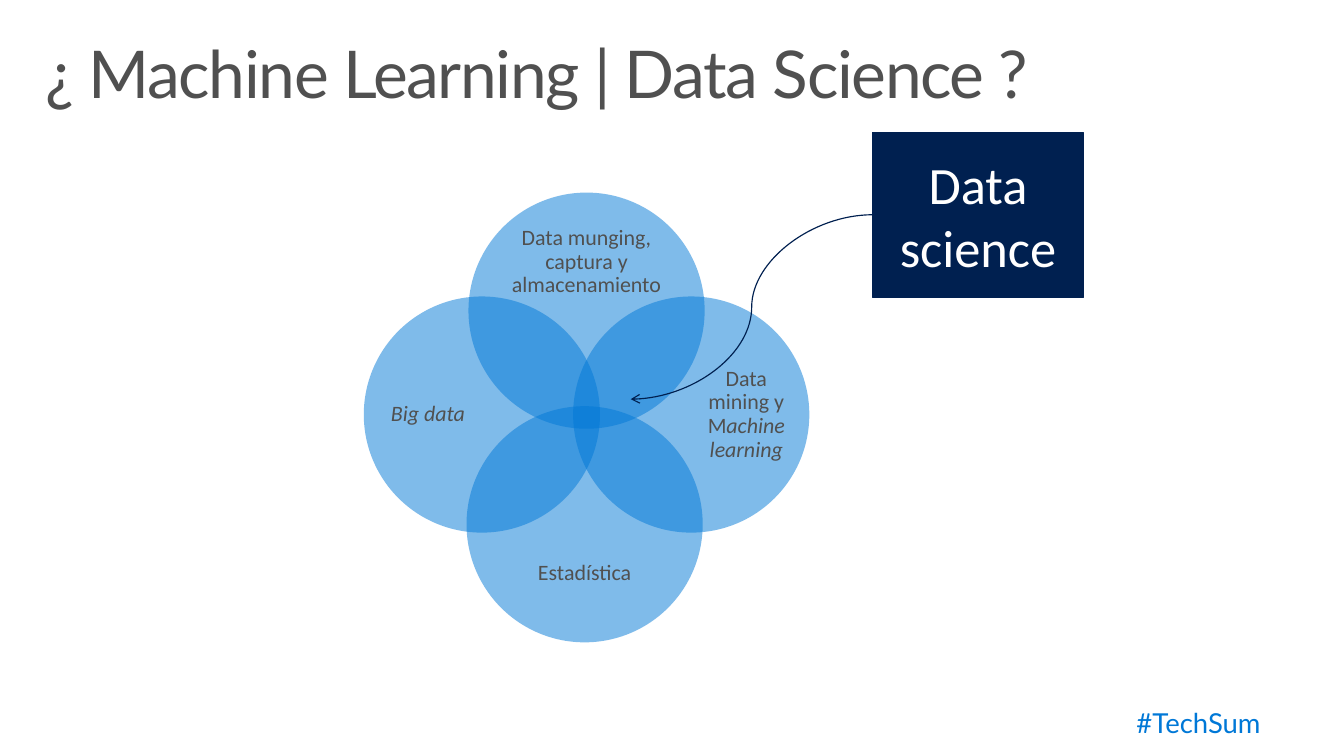
from lxml import etree
from pptx import Presentation
from pptx.dml.color import RGBColor
from pptx.enum.shapes import MSO_CONNECTOR, MSO_SHAPE
from pptx.enum.text import MSO_ANCHOR, MSO_AUTO_SIZE, PP_ALIGN
from pptx.oxml.ns import qn
from pptx.util import Cm, Pt

CURVE = MSO_CONNECTOR.CURVE
OVAL, RECTANGLE = MSO_SHAPE.OVAL, MSO_SHAPE.RECTANGLE
TOP, MIDDLE = MSO_ANCHOR.TOP, MSO_ANCHOR.MIDDLE
LEFT, CENTER, RIGHT = PP_ALIGN.LEFT, PP_ALIGN.CENTER, PP_ALIGN.RIGHT
NO_FIT = MSO_AUTO_SIZE.NONE

# Content
TITLE = "¿ Machine Learning | Data Science ?"
HASHTAG = "#TechSum"
CALLOUT = "Data science"
COLORS = {"blue": "0078D7", "navy": "002050", "gray": "505050", "white": "FFFFFF"}

# Lengths in cm
DIAMETER = 6.07
WIDE_LABEL, TALL_LABEL = (4.67, 1.93), (2.34, 4.67)
# Circle corner, label offset within the circle, label size, (text, italic) runs
CIRCLES = [
    ((12.04, 4.95), (0.7, 0.82), WIDE_LABEL,
     [("Data munging, captura y almacenamiento", False)]),
    ((14.73, 7.62), (3.28, 0.7), TALL_LABEL,
     [("Data mining y M", False), ("achine learning", True)]),
    ((11.99, 10.44), (0.7, 3.33), WIDE_LABEL, [("Estadística", False)]),
    ((9.35, 7.62), (0.48, 0.7), TALL_LABEL, [("Big data", True)]),
]
CALLOUT_BOX = (22.43, 3.4, 5.41, 4.24)
ARROW_TIP = (16.21, 10.26)


def color(name):
    return RGBColor.from_string(COLORS[name])


def write(shape, runs, size, font, color_name, align, anchor, insets, spacing=0.9):
    frame = shape.text_frame
    frame.word_wrap = True
    frame.auto_size = NO_FIT
    frame.vertical_anchor = anchor
    frame.margin_left = frame.margin_right = Cm(insets[0])
    frame.margin_top = frame.margin_bottom = Cm(insets[1])
    para = frame.paragraphs[0]
    para.alignment = align
    para.line_spacing = spacing
    for text, italic in runs:
        span = para.add_run()
        span.text = text
        span.font.size = Pt(size)
        span.font.name = font
        span.font.italic = italic
        span.font.color.rgb = color(color_name)


def add_text(page, box, *style):
    write(page.shapes.add_textbox(*map(Cm, box)), *style)


def add_filled(page, kind, box, color_name):
    shape = page.shapes.add_shape(kind, *map(Cm, box))
    shape.shadow.inherit = False
    shape.fill.solid()
    shape.fill.fore_color.rgb = color(color_name)
    return shape


def main():
    deck = Presentation()
    deck.slide_width, deck.slide_height = Cm(34.54), Cm(19.43)
    page = deck.slides.add_slide(deck.slide_layouts[5])

    # Title
    title = page.shapes.title
    title.left, title.top, title.width, title.height = map(Cm, (0.76, 0.81, 33.02, 2.54))
    write(title, [(TITLE, False)], 48, "Lato", "gray", LEFT, TOP, (0.41, 0.25))
    title.text_frame.paragraphs[0].runs[0].font._element.set("spc", "-100")

    # Hashtag
    add_text(page, (22.78, 17.83, 10.13, 1.6), [(HASHTAG, False)],
             20, "Lato", "blue", RIGHT, TOP, (0.51, 0.41))

    # Overlapping circles, each with its label
    for (x, y), (dx, dy), size, runs in CIRCLES:
        circle = add_filled(page, OVAL, (x, y, DIAMETER, DIAMETER), "blue")
        circle.line.fill.background()
        tint = circle.fill._xPr.find(qn("a:solidFill"))[0]
        etree.SubElement(tint, qn("a:alpha"), val="50000")
        add_text(page, (x + dx, y + dy, *size), runs,
                 16, "Calibri", "gray", CENTER, MIDDLE, (0, 0))

    # Callout
    callout = add_filled(page, RECTANGLE, CALLOUT_BOX, "navy")
    callout.line.color.rgb = color("navy")
    callout.line.width = Pt(0.75)
    write(callout, [(CALLOUT, False)], 38.2, "Calibri", "white",
          CENTER, MIDDLE, (0.18, 0.1), 1.0)

    # Curved arrow from the callout to the centre of the diagram
    left, top, _, height = CALLOUT_BOX
    arrow = page.shapes.add_connector(
        CURVE, Cm(left), Cm(top + height / 2), *map(Cm, ARROW_TIP))
    arrow.line.color.rgb = color("navy")
    arrow.line.width = Pt(0.85)
    etree.SubElement(arrow.line._get_or_add_ln(), qn("a:tailEnd"), type="arrow")
    etree.SubElement(arrow._element.spPr, qn("a:effectLst"))

    deck.save("out.pptx")


if __name__ == "__main__":
    main()
